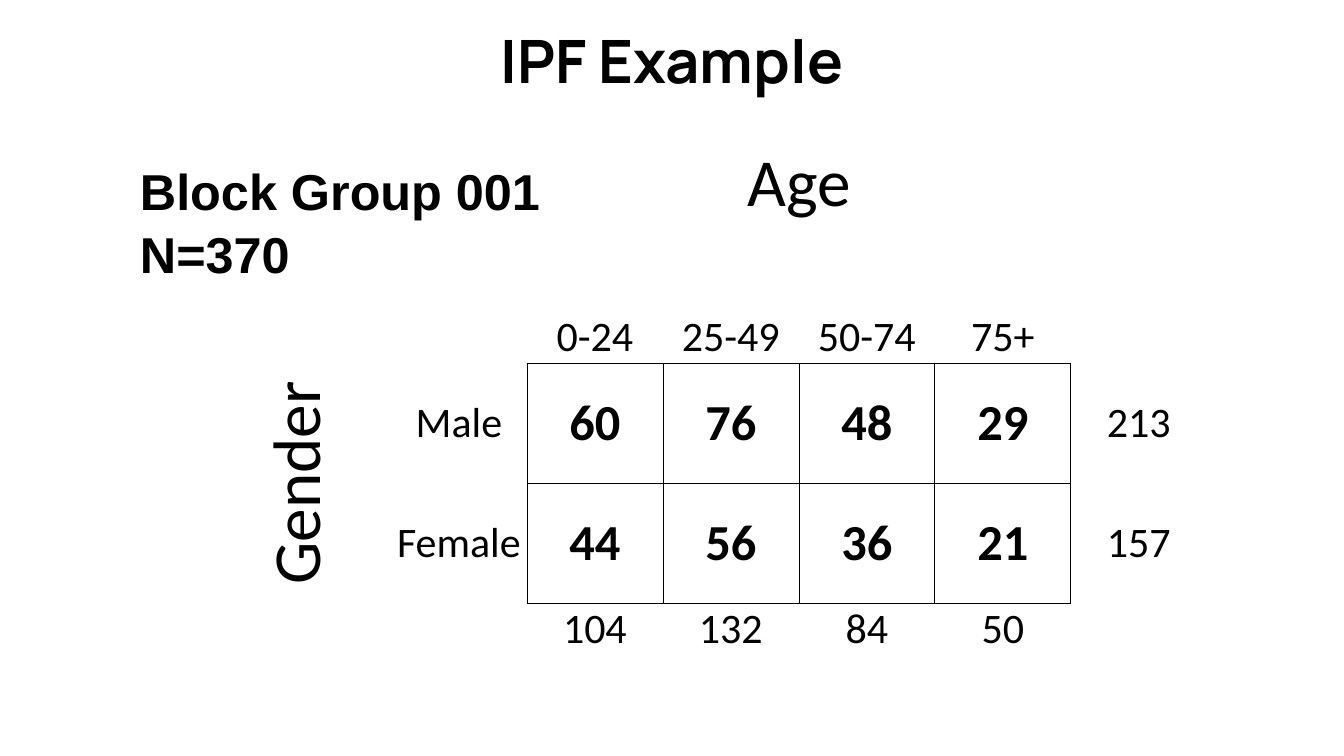
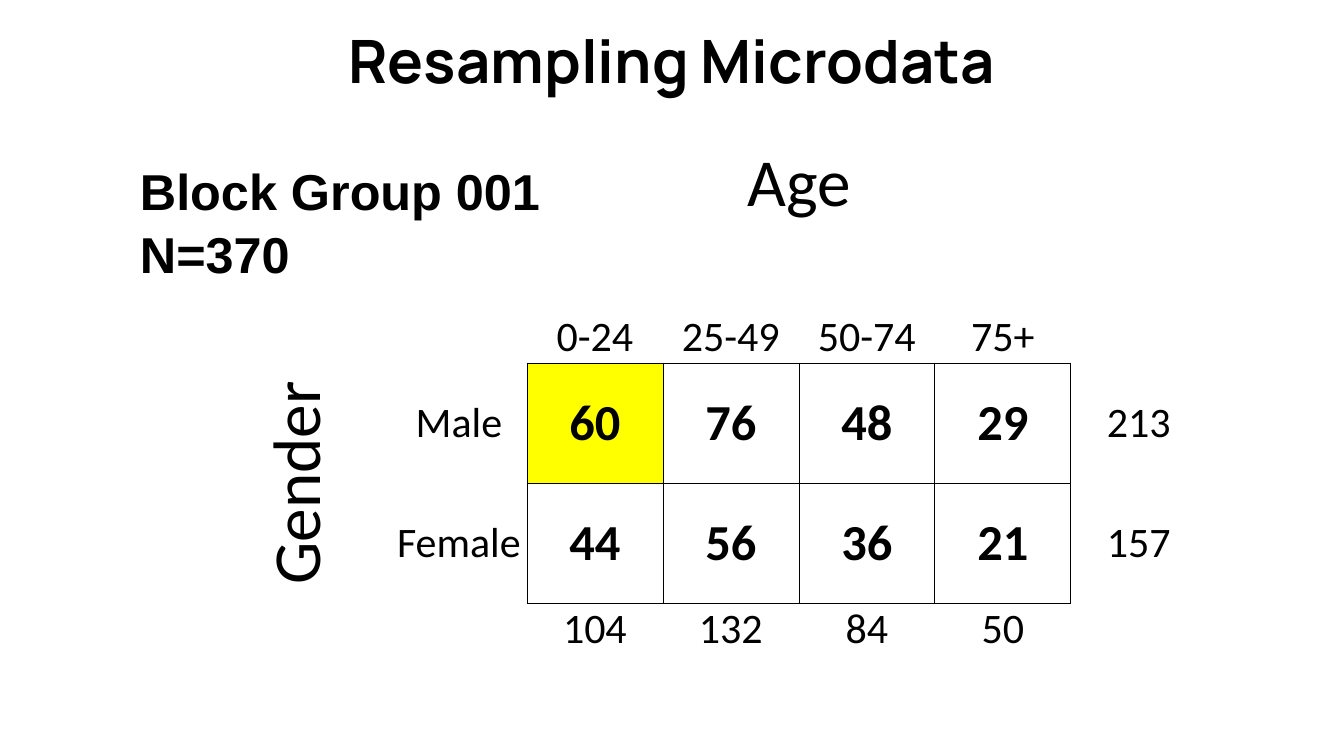
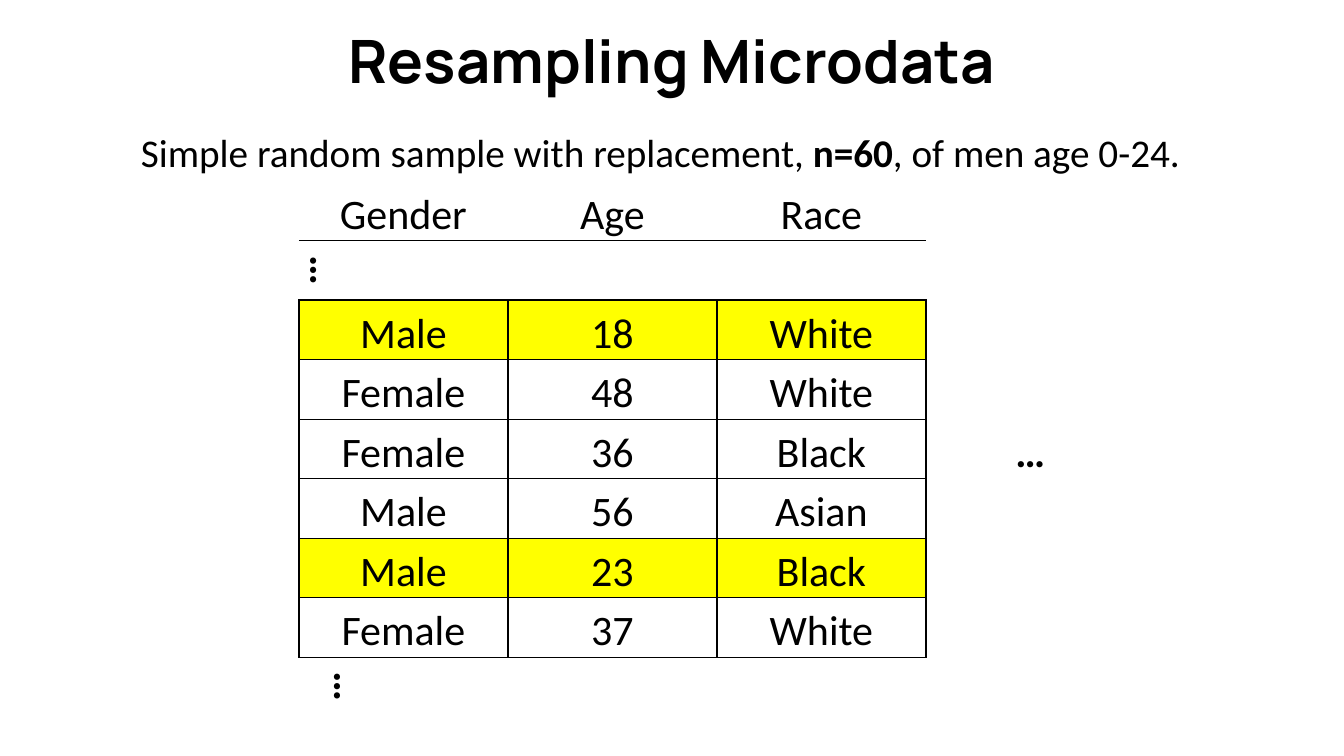
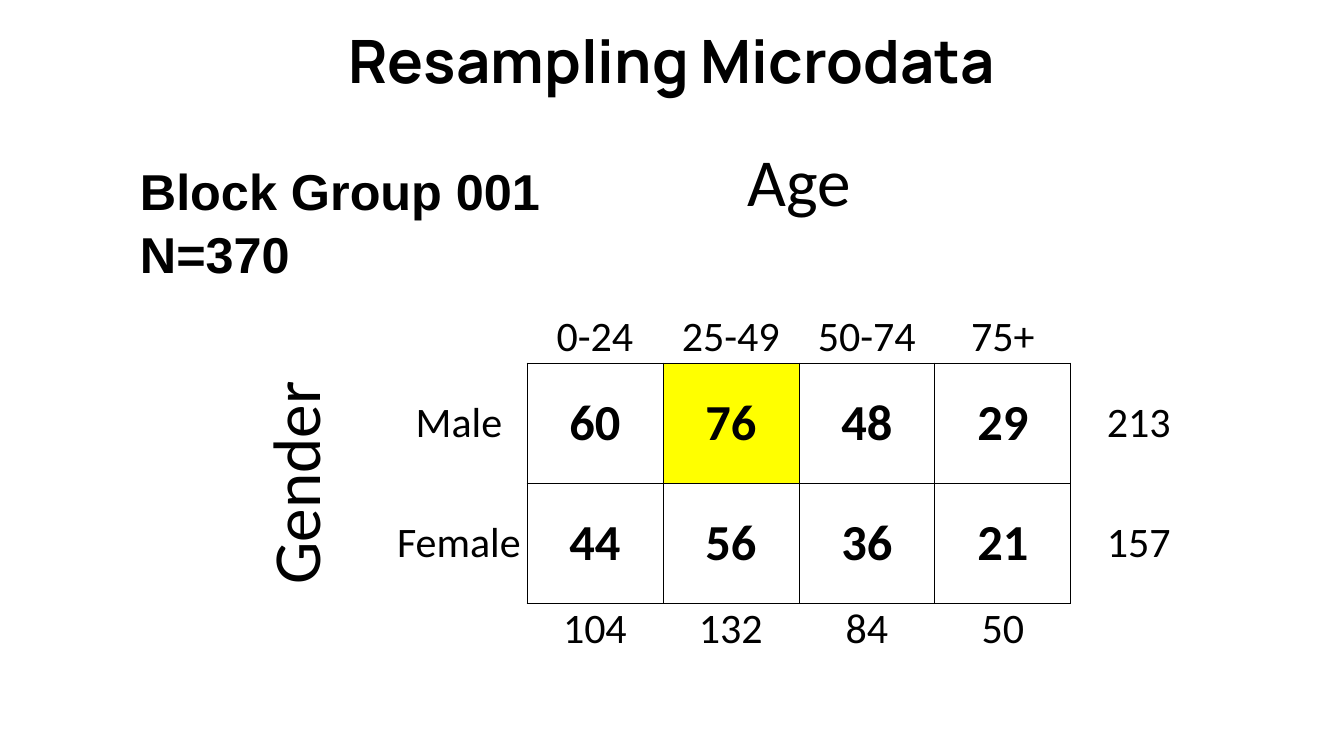
from lxml import etree
from pptx import Presentation
from pptx.dml.color import RGBColor
from pptx.enum.text import MSO_ANCHOR, MSO_AUTO_SIZE, PP_ALIGN
from pptx.oxml.ns import qn
from pptx.util import Emu, Pt

SLIDE_WIDTH, SLIDE_HEIGHT = 1344, 756
EMU_PER_PX = 12192000 / SLIDE_WIDTH
TOP, MIDDLE, BOTTOM = MSO_ANCHOR.TOP, MSO_ANCHOR.MIDDLE, MSO_ANCHOR.BOTTOM
CENTER, LEFT = PP_ALIGN.CENTER, PP_ALIGN.LEFT
NO_AUTOFIT = MSO_AUTO_SIZE.NONE
TITLE_ONLY = 5

BLACK, YELLOW = "000000", "FFFF00"
TITLE_FONT, TABLE_FONT, LABEL_FONT = "Manrope", "Calibri", "Arial"
TITLE_BOX = (67, -3, 1210, 126)
LABEL_BOX = (130, 153, 571, 132)
CROSS_TABLE_BOX = (255, 123, 952, 600)
SAMPLE_TEXT_BOX = (131, 123, 1082, 57)
SAMPLE_TABLE_BOX = (299, 181, 836, 536)

EDGES = {"L": ("R", 0, -1), "R": ("L", 0, 1), "T": ("B", -1, 0), "B": ("T", 1, 0)}

AGES = ["0-24", "25-49", "50-74", "75+"]
COUNTS = [("Male", [60, 76, 48, 29]), ("Female", [44, 56, 36, 21])]
PEOPLE = [
    ("Male", "18", "White"),
    ("Female", "48", "White"),
    ("Female", "36", "Black"),
    ("Male", "56", "Asian"),
    ("Male", "23", "Black"),
    ("Female", "37", "White"),
]
SAMPLED = (0, 4)


def px(length):
    """Turn pixels into EMU."""
    return Emu(round(length * EMU_PER_PX))


def color(value):
    """Turn a hex string into a colour."""
    return RGBColor.from_string(value)


def write_runs(paragraph, runs, font, size, align):
    """Add (text, bold) runs to a paragraph."""
    paragraph.alignment = align
    for text, bold in runs:
        run = paragraph.add_run()
        run.text = text
        run.font.name = font
        run.font.size = Pt(size)
        run.font.bold = bold
        run.font.color.rgb = color(BLACK)


def add_titled_slide(presentation, title):
    """Add a slide with the shared title style."""
    slide = presentation.slides.add_slide(presentation.slide_layouts[TITLE_ONLY])
    shape = slide.shapes.title
    shape.left, shape.top, shape.width, shape.height = map(px, TITLE_BOX)
    frame = shape.text_frame
    frame.auto_size = NO_AUTOFIT
    frame.vertical_anchor = MIDDLE
    write_runs(frame.paragraphs[0], [(title, True)], TITLE_FONT, 42.7, CENTER)
    return slide


def add_text(slide, box, lines, font, size, spacing=1.0):
    """Add a wrapped text box with one paragraph for each line."""
    frame = slide.shapes.add_textbox(*map(px, box)).text_frame
    frame.word_wrap = True
    for index, runs in enumerate(lines):
        paragraph = frame.add_paragraph() if index else frame.paragraphs[0]
        paragraph.line_spacing = spacing
        write_runs(paragraph, runs, font, size, LEFT)


def add_edge(properties, edge, width):
    """Add one cell border, invisible when the width is zero."""
    line = etree.SubElement(properties, qn(f"a:ln{edge}"), w=str(Pt(width)))
    if width:
        fill = etree.SubElement(line, qn("a:solidFill"))
        etree.SubElement(fill, qn("a:srgbClr"), val=BLACK)
    else:
        etree.SubElement(line, qn("a:noFill"))


def add_grid(slide, box, row_count, column_count, lined, line_width, highlighted):
    """Add a plain table with borders on the lined cells."""
    left, top, width, height = map(px, box)
    table = slide.shapes.add_table(row_count, column_count, left, top, width, height).table
    table.first_row = table.horz_banding = False
    for row in range(row_count):
        for column in range(column_count):
            cell = table.cell(row, column)
            properties = cell._tc.get_or_add_tcPr()
            for edge, (opposite, down, across) in EDGES.items():
                neighbour = lined.get((row + down, column + across), "")
                drawn = edge in lined.get((row, column), "") or opposite in neighbour
                add_edge(properties, edge, line_width if drawn else 0)
            if (row, column) in highlighted:
                cell.fill.solid()
                cell.fill.fore_color.rgb = color(YELLOW)
            else:
                cell.fill.background()
    return table


def fill_cell(cell, text, size=30, bold=False, anchor=MIDDLE, direction=None, top=1):
    """Write centred text into a table cell."""
    cell.margin_left = cell.margin_right = px(1)
    cell.margin_top, cell.margin_bottom = px(top), px(0)
    cell.vertical_anchor = anchor
    if direction:
        cell._tc.get_or_add_tcPr().set("vert", direction)
    write_runs(cell.text_frame.paragraphs[0], [(text, bold)], TABLE_FONT, size, CENTER)


def add_cross_table(slide, box, highlighted):
    """Add the gender by age table with its totals."""
    lined = {(row, column): "LRTB" for row in (2, 3) for column in range(2, 6)}
    table = add_grid(slide, box, 5, 7, lined, 0.5, highlighted)
    table.cell(0, 1).merge(table.cell(0, 6))
    table.cell(1, 0).merge(table.cell(4, 0))
    fill_cell(table.cell(0, 1), "Age", 48)
    fill_cell(table.cell(1, 0), "Gender", 48, direction="vert270")
    for column, age in enumerate(AGES, 2):
        total = sum(counts[column - 2] for _, counts in COUNTS)
        fill_cell(table.cell(1, column), age, anchor=BOTTOM)
        fill_cell(table.cell(4, column), str(total), anchor=TOP)
    for row, (gender, counts) in enumerate(COUNTS, 2):
        fill_cell(table.cell(row, 1), gender)
        fill_cell(table.cell(row, 6), str(sum(counts)))
        for column, count in enumerate(counts, 2):
            fill_cell(table.cell(row, column), str(count), 36, True)


def add_sample_table(slide, box):
    """Add the list of people with the sampled rows highlighted."""
    lined = {(row, column): "LRTB" for row in range(2, 8) for column in range(3)}
    lined.update({(0, column): "B" for column in range(3)})
    highlighted = {(row + 2, column) for row in SAMPLED for column in range(3)}
    table = add_grid(slide, box, 9, 4, lined, 1, highlighted)
    for row, direction, top in ((1, "vert", 10), (8, "vert270", 1)):
        table.cell(row, 0).merge(table.cell(row, 2))
        fill_cell(table.cell(row, 0), "…", bold=True, direction=direction, top=top)
    for column, heading in enumerate(("Gender", "Age", "Race")):
        fill_cell(table.cell(0, column), heading, anchor=BOTTOM)
    for row, person in enumerate(PEOPLE, 2):
        for column, value in enumerate(person):
            fill_cell(table.cell(row, column), value, anchor=BOTTOM)
    fill_cell(table.cell(4, 3), "…", bold=True, anchor=BOTTOM)


def build_cross_slide(presentation, title, highlighted=()):
    """Build a slide with the block group label and cross table."""
    slide = add_titled_slide(presentation, title)
    add_cross_table(slide, CROSS_TABLE_BOX, highlighted)
    lines = [[("Block Group 001", True)], [("N=370", True)]]
    add_text(slide, LABEL_BOX, lines, LABEL_FONT, 36, 1.04)


def build_sample_slide(presentation, title):
    """Build the slide with the resampled people."""
    slide = add_titled_slide(presentation, title)
    add_sample_table(slide, SAMPLE_TABLE_BOX)
    runs = [
        ("Simple random sample with replacement, ", False),
        ("n=60", True),
        (", of men age 0-24.", False),
    ]
    add_text(slide, SAMPLE_TEXT_BOX, [runs], TABLE_FONT, 28)


def main():
    """Build and save the presentation."""
    presentation = Presentation()
    presentation.slide_width = px(SLIDE_WIDTH)
    presentation.slide_height = px(SLIDE_HEIGHT)
    build_cross_slide(presentation, "IPF Example")
    build_cross_slide(presentation, "Resampling Microdata", {(2, 2)})
    build_sample_slide(presentation, "Resampling Microdata")
    build_cross_slide(presentation, "Resampling Microdata", {(2, 3)})
    presentation.save("out.pptx")


if __name__ == "__main__":
    main()
